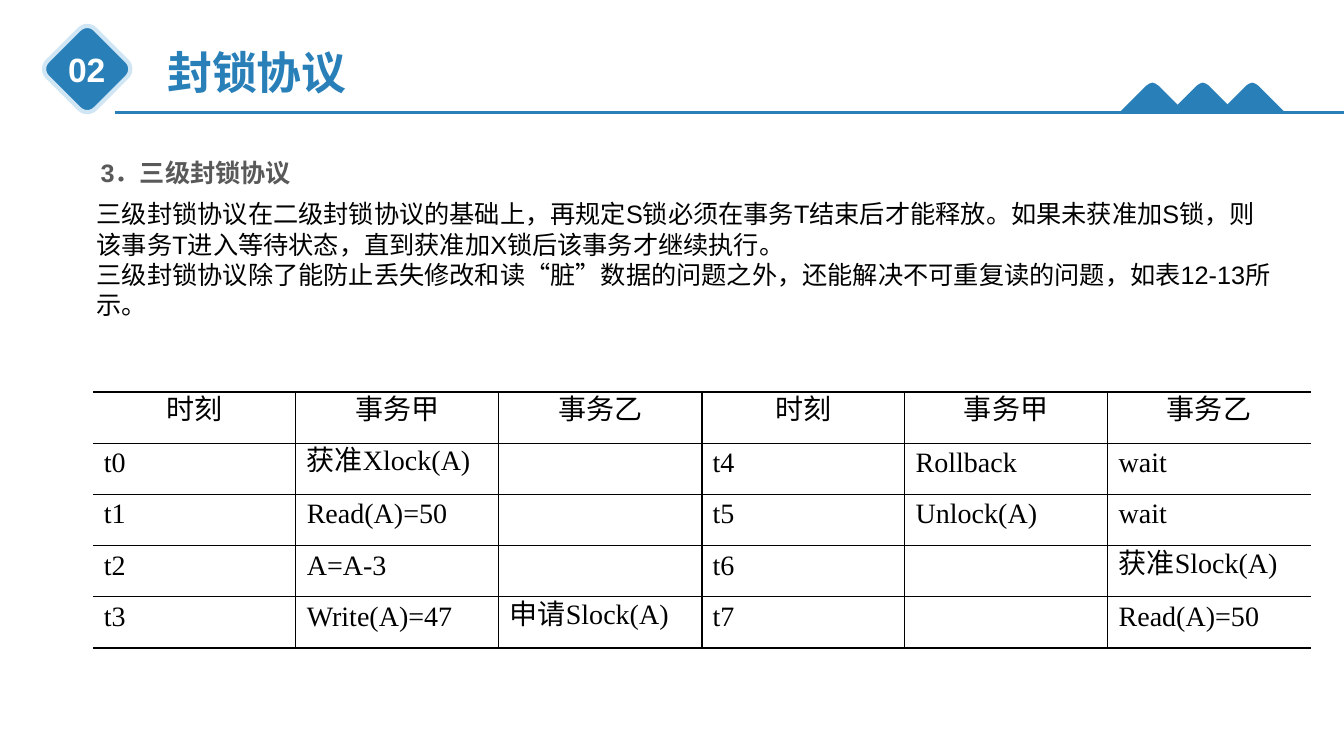
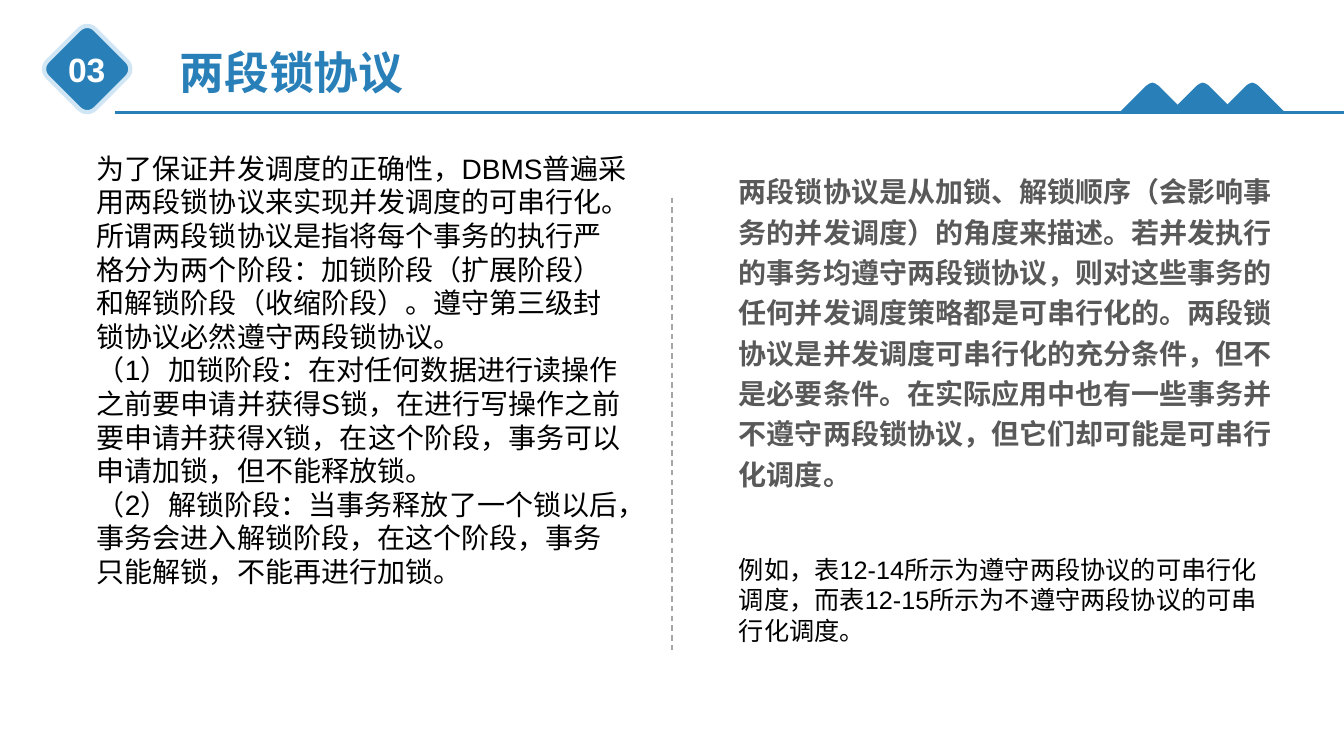
from lxml import etree
from pptx import Presentation, util as u
from pptx.dml.color import RGBColor
from pptx.enum import dml, shapes, text
from pptx.oxml.ns import qn

BLUE, PALE_BLUE, GREY, DASH_GREY, BLACK, WHITE = (
    "2980B9", "D1E6F5", "595959", "A6A6A6", "000000", "FFFFFF")
WIDTH, HEIGHT = 13.33, 7.5
LEFT, RIGHT = 0.86, 7.23      # left edges of the two text columns
TOP, RULE = 1.45, 1.12        # top of the content, height of the header rule
ALIGN = text.PP_ALIGN


def rgb(color):
    return RGBColor.from_string(color)


def write(frame, paragraphs, size, color=BLACK, bold=False, align=ALIGN.LEFT,
          spacing=1.0, gap=0, indent=0, font="Arial"):
    """Fill a text frame with plain paragraphs that have no bullets."""
    frame.word_wrap = True
    frame.vertical_anchor = text.MSO_ANCHOR.TOP
    for index, words in enumerate(paragraphs):
        paragraph = frame.add_paragraph() if index else frame.paragraphs[0]
        paragraph.alignment = align
        paragraph.line_spacing = spacing
        paragraph.space_before = paragraph.space_after = u.Pt(gap)
        properties = paragraph._p.get_or_add_pPr()
        properties.set("marL", str(u.Inches(indent)))
        properties.set("indent", "0")
        etree.SubElement(properties, qn("a:buNone"))
        run = paragraph.add_run()
        run.text = words
        run.font.name, run.font.size, run.font.bold = font, u.Pt(size), bold
        run.font.color.rgb = rgb(color)


presentation = Presentation()
presentation.slide_width, presentation.slide_height = u.Inches(WIDTH), u.Inches(HEIGHT)
layout = presentation.slide_layouts.get_by_name("Title and Content")

pages = [
    {"number": "02", "title": "封锁协议", "title left": 1.56,
     "body box": (LEFT, 1.92, 11.9, 1.31), "body size": 18,
     "body": [
         "三级封锁协议在二级封锁协议的基础上，再规定S锁必须在事务T结束后才能释放。如果未获准加S锁，则该事务T进入等待状态，直到获准加X锁后该事务才继续执行。",
         "三级封锁协议除了能防止丢失修改和读“脏”数据的问题之外，还能解决不可重复读的问题，如表12-13所示。"],
     "notes": [((0.9, TOP, 6.07, 0.43), 18, GREY, True, 1.2, "3．三级封锁协议")],
     "lines": []},
    {"number": "03", "title": "两段锁协议", "title left": 1.68,
     "body box": (LEFT, TOP, 5.47, 4.48), "body size": 20,
     "body": [
         "为了保证并发调度的正确性，DBMS普遍采用两段锁协议来实现并发调度的可串行化。所谓两段锁协议是指将每个事务的执行严格分为两个阶段：加锁阶段（扩展阶段）和解锁阶段（收缩阶段）。遵守第三级封锁协议必然遵守两段锁协议。",
         "（1）加锁阶段：在对任何数据进行读操作之前要申请并获得S锁，在进行写操作之前要申请并获得X锁，在这个阶段，事务可以申请加锁，但不能释放锁。",
         "（2）解锁阶段：当事务释放了一个锁以后，事务会进入解锁阶段，在这个阶段，事务只能解锁，不能再进行加锁。"],
     "notes": [
         ((RIGHT, 1.62, 5.52, 3.3), 20, GREY, True, 1.2,
          "两段锁协议是从加锁、解锁顺序（会影响事务的并发调度）的角度来描述。若并发执行的事务均遵守两段锁协议，则对这些事务的任何并发调度策略都是可串行化的。两段锁协议是并发调度可串行化的充分条件，但不是必要条件。在实际应用中也有一些事务并不遵守两段锁协议，但它们却可能是可串行化调度。"),
         ((RIGHT, 5.45, 5.54, 1.01), 18, BLACK, False, 1.0,
          "例如，表12-14所示为遵守两段协议的可串行化调度，而表12-15所示为不遵守两段协议的可串行化调度。")],
     "lines": [(WIDTH / 2, 1.96, WIDTH / 2, 6.46, DASH_GREY, 1, dml.MSO_LINE.DASH)]},
]
header_rule = (1.14, RULE, WIDTH, RULE, BLUE, 2.25, None)
# Outline of one peak in hundredths of an inch: offset from its centre, height
peak_outline = [(-33, 112), (-6, 85), (-3, 83), (0, 82), (3, 83), (6, 85), (33, 112)]

for page in pages:
    slide = presentation.slides.add_slide(layout)
    title, body = slide.placeholders
    title_box = (page["title left"], 0.39, 6, 0.64)
    for shape, box in ((title, title_box), (body, page["body box"])):
        shape.left, shape.top, shape.width, shape.height = map(u.Inches, box)
        shape.text_frame.auto_size = text.MSO_AUTO_SIZE.NONE
    write(title.text_frame, [page["title"]], 32, BLUE, True)
    write(body.text_frame, page["body"], page["body size"])

    badge = slide.shapes.add_shape(shapes.MSO_SHAPE.ROUNDED_RECTANGLE,
                                   *map(u.Inches, (0.53, 0.35, 0.67, 0.67)))
    badge.rotation = 45
    badge.shadow.inherit = False
    badge.fill.solid()
    badge.fill.fore_color.rgb = rgb(BLUE)
    badge.line.color.rgb = rgb(PALE_BLUE)
    badge.line.width = u.Pt(3)
    number = slide.shapes.add_textbox(*map(u.Inches, (0.52, 0.44, 0.68, 0.5)))
    write(number.text_frame, [page["number"]], 24, WHITE, True, ALIGN.CENTER)

    for x1, y1, x2, y2, color, weight, dash in [header_rule, *page["lines"]]:
        line = slide.shapes.add_connector(shapes.MSO_CONNECTOR.STRAIGHT,
                                          *map(u.Inches, (x1, y1, x2, y2)))
        line.line.color.rgb = rgb(color)
        line.line.width = u.Pt(weight)
        line.line.dash_style = dash
        etree.SubElement(line._element.spPr, qn("a:effectLst"))

    for centre in (1143, 1193, 1242):
        points = [(centre + offset, y) for offset, y in peak_outline]
        builder = slide.shapes.build_freeform(*points[0], scale=u.Inches(0.01))
        builder.add_line_segments(points[1:], close=True)
        peak = builder.convert_to_shape()
        peak.shadow.inherit = False
        peak.fill.solid()
        peak.fill.fore_color.rgb = rgb(BLUE)
        peak.line.fill.background()

    for box, size, color, bold, spacing, words in page["notes"]:
        note = slide.shapes.add_textbox(*map(u.Inches, box))
        write(note.text_frame, [words], size, color, bold, spacing=spacing)

schedule = [
    ["时刻", "事务甲", "事务乙"] * 2,
    ["t0", "获准Xlock(A)", "", "t4", "Rollback", "wait"],
    ["t1", "Read(A)=50", "", "t5", "Unlock(A)", "wait"],
    ["t2", "A=A-3", "", "t6", "", "获准Slock(A)"],
    ["t3", "Write(A)=47", "申请Slock(A)", "t7", "", "Read(A)=50"],
]
rows, columns = len(schedule), len(schedule[0])
table = presentation.slides[0].shapes.add_table(
    rows, columns, *map(u.Inches, (0.92, 3.89, 12.08, 2.54))).table
table.first_row = table.horz_banding = False
for row, values in enumerate(schedule):
    for column, value in enumerate(values):
        cell = table.cell(row, column)
        cell.fill.background()
        if value:
            cell.margin_left = cell.margin_right = u.Inches(0.07)
            cell.margin_top = cell.margin_bottom = 0
            style = ({"align": ALIGN.CENTER} if row == 0 else
                     {"align": ALIGN.JUSTIFY, "indent": 0.04, "font": "Times New Roman"})
            write(cell.text_frame, [value], 20, spacing=u.Pt(14), gap=1, **style)
        cell.vertical_anchor = text.MSO_ANCHOR.MIDDLE

        # The outer sides stay open; top, bottom and middle rules are heavier
        middle = columns // 2
        borders = {
            "lnL": 0 if column == 0 else 1.5 if column == middle else 1,
            "lnR": 0 if column == columns - 1 else 1.5 if column == middle - 1 else 1,
            "lnT": 1.5 if row == 0 else 1,
            "lnB": 1.5 if row == rows - 1 else 1,
        }
        properties = cell._tc.get_or_add_tcPr()
        for position, (side, weight) in enumerate(borders.items()):
            border = etree.Element(qn("a:" + side), w=str(u.Pt(weight)))
            if weight:
                fill = etree.SubElement(border, qn("a:solidFill"))
                etree.SubElement(fill, qn("a:srgbClr"), val=BLACK)
            else:
                etree.SubElement(border, qn("a:noFill"))
            properties.insert(position, border)

presentation.save("out.pptx")
